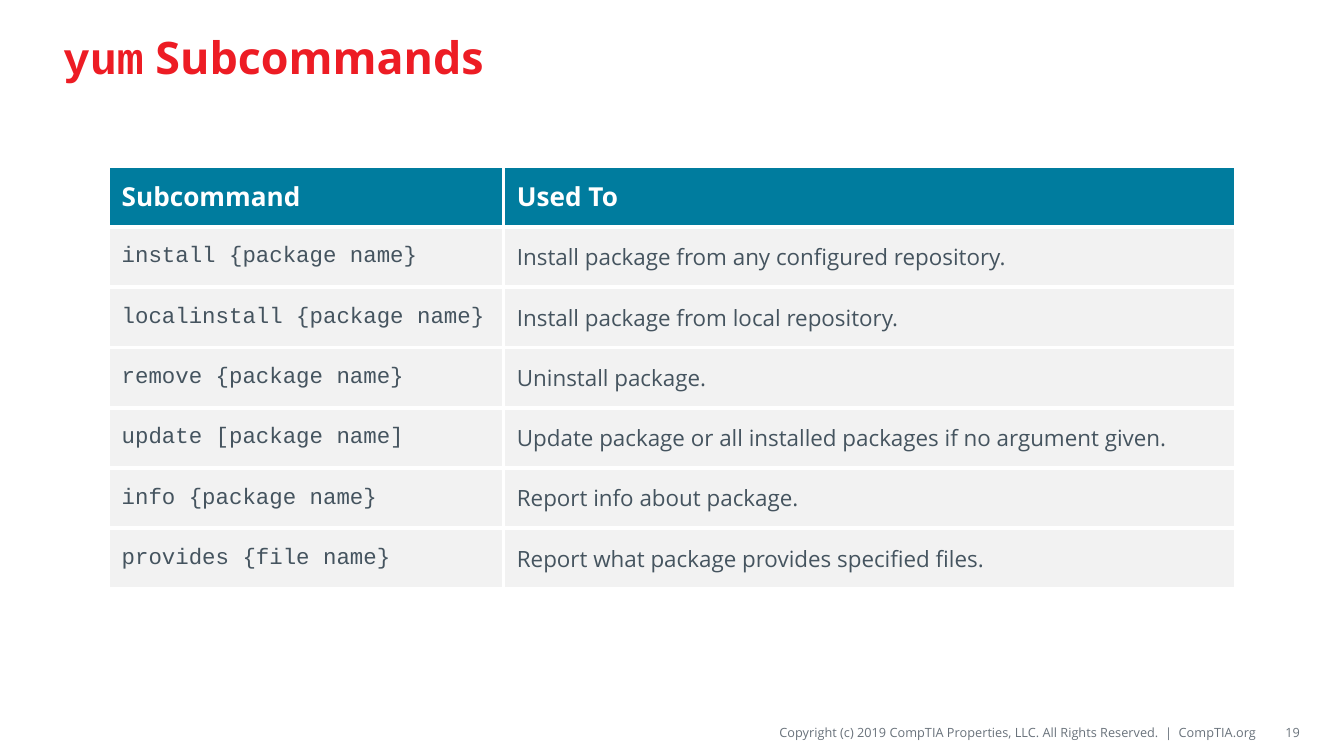
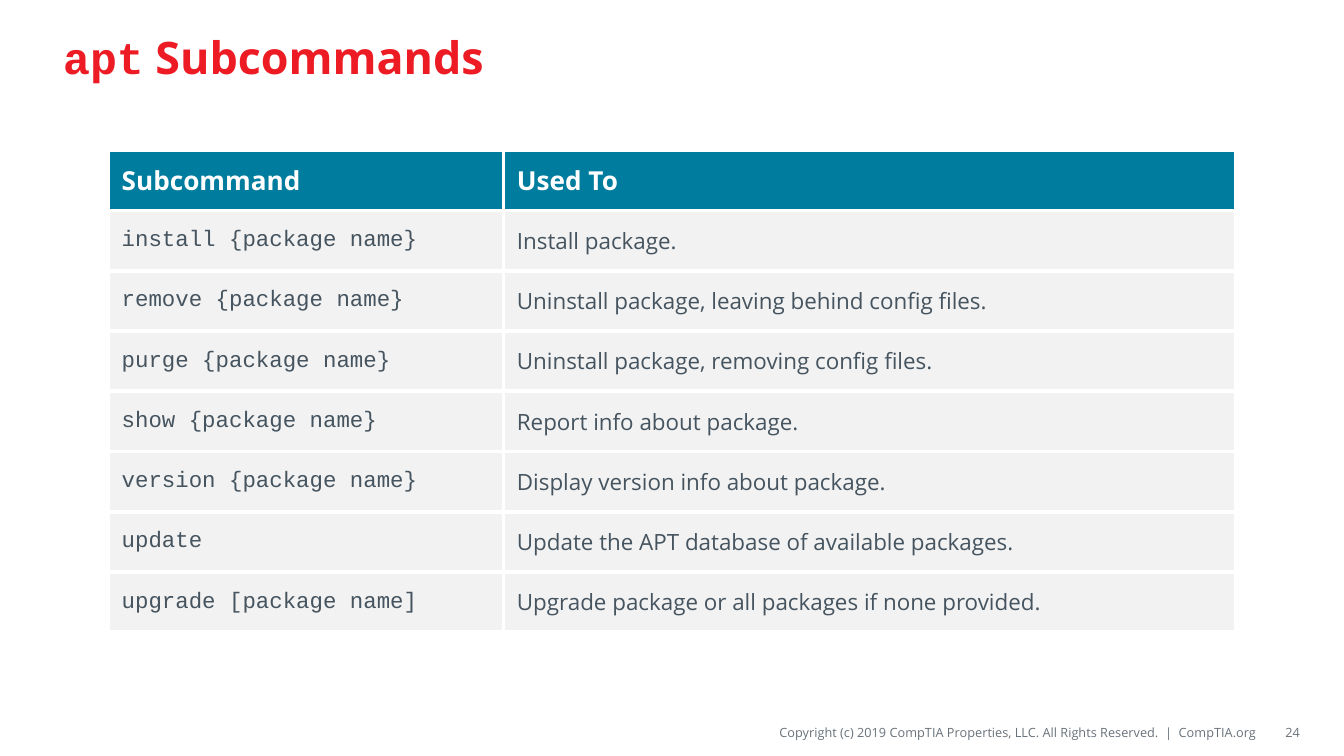
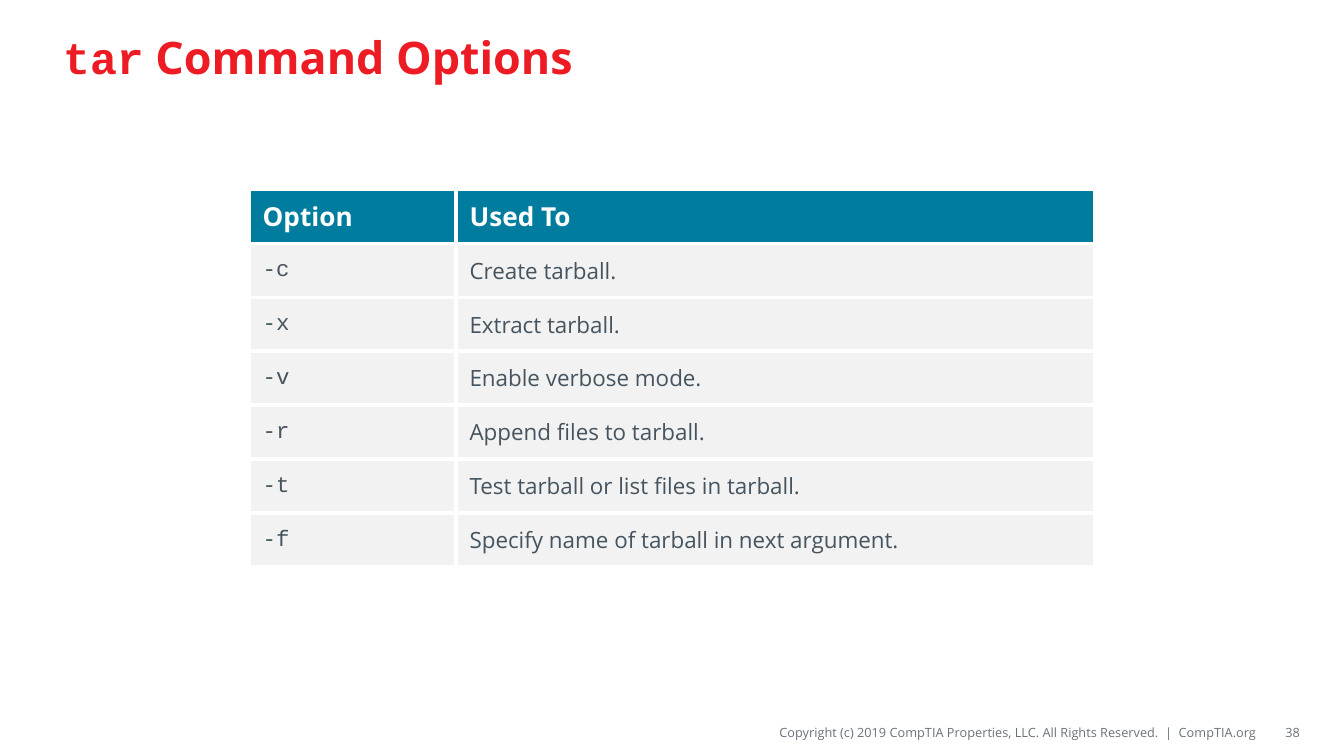
import lxml.etree
import pptx
import pptx.dml.color
import pptx.enum.text
import pptx.util
from pptx.oxml.ns import qn

Cm = pptx.util.Cm
ALIGN = pptx.enum.text.PP_ALIGN
MIDDLE = pptx.enum.text.MSO_ANCHOR.MIDDLE

COLORS = {
    "title": "ED1C24",
    "header": "007C9E",
    "row": "F2F2F2",
    "white": "FFFFFF",
    "body": "45545F",
    "footer": "69727B",
}
SANS = "Open Sans"
MONO = "Courier New"
PAGE_WIDTH, PAGE_HEIGHT = 25.4, 14.29
COPYRIGHT = ("Copyright (c) 2019 CompTIA Properties, LLC. "
             "All Rights Reserved.  |  CompTIA.org")

# All table measures are in centimetres
SUBCOMMAND_COLUMNS = (7.47, 13.84)
PAGES = [
    {
        "number": 19, "command": "yum", "topic": "Subcommands",
        "top": 3.15, "columns": SUBCOMMAND_COLUMNS, "row_height": 1.14,
        "rows": [
            ("Subcommand", "Used To"),
            ("install {package name}", "Install package from any configured repository."),
            ("localinstall {package name}", "Install package from local repository."),
            ("remove {package name}", "Uninstall package."),
            ("update [package name]",
             "Update package or all installed packages if no argument given."),
            ("info {package name}", "Report info about package."),
            ("provides {file name}", "Report what package provides specified files."),
        ],
    },
    {
        "number": 24, "command": "apt", "topic": "Subcommands",
        "top": 2.84, "columns": SUBCOMMAND_COLUMNS, "row_height": 1.14,
        "rows": [
            ("Subcommand", "Used To"),
            ("install {package name}", "Install package."),
            ("remove {package name}", "Uninstall package, leaving behind config files."),
            ("purge {package name}", "Uninstall package, removing config files."),
            ("show {package name}", "Report info about package."),
            ("version {package name}", "Display version info about package."),
            ("update", "Update the APT database of available packages."),
            ("upgrade [package name]", "Upgrade package or all packages if none provided."),
        ],
    },
    {
        "number": 38, "command": "tar", "topic": "Command Options",
        "top": 3.58, "columns": (3.91, 12.07), "row_height": 1.02,
        "rows": [
            ("Option", "Used To"),
            ("-c", "Create tarball."),
            ("-x", "Extract tarball."),
            ("-v", "Enable verbose mode."),
            ("-r", "Append files to tarball."),
            ("-t", "Test tarball or list files in tarball."),
            ("-f", "Specify name of tarball in next argument."),
        ],
    },
]


def rgb(name):
    return pptx.dml.color.RGBColor.from_string(COLORS[name])


def write_text(para, text, size=12, font=SANS, color="body", bold=False, align=ALIGN.LEFT):
    """Append one formatted span to a paragraph."""
    para.alignment = align
    span = para.add_run()
    span.text = text
    span.font.size = pptx.util.Pt(size)
    span.font.name = font
    span.font.bold = bold
    span.font.color.rgb = rgb(color)


def add_title(page, command, topic, left=0.94, top=0.2, width=23.5, height=1.75):
    title = page.shapes.title
    title.left, title.top, title.width, title.height = map(Cm, (left, top, width, height))
    frame = title.text_frame
    frame.vertical_anchor = MIDDLE
    frame.auto_size = pptx.enum.text.MSO_AUTO_SIZE.NONE
    look = {"size": 24, "color": "title", "bold": True}
    write_text(frame.paragraphs[0], command, font=MONO, **look)
    write_text(frame.paragraphs[0], " " + topic, **look)


def add_footer(page, number, top=13.56, height=0.56):
    # Copyright line and page number: text, left, width, left inset
    parts = [(COPYRIGHT, 9.86, 13.89, 0), (str(number), 23.83, 0.74, 0.25)]
    for text, left, width, inset in parts:
        box = page.shapes.add_textbox(Cm(left), Cm(top), Cm(width), Cm(height))
        frame = box.text_frame
        frame.word_wrap = True
        frame.vertical_anchor = MIDDLE
        frame.margin_left, frame.margin_right = Cm(inset), 0
        frame.margin_top = frame.margin_bottom = Cm(0.1)
        write_text(frame.paragraphs[0], text, size=6.8, color="footer", align=ALIGN.RIGHT)


def set_borders(cell, width=2.25):
    properties = cell._tc.get_or_add_tcPr()
    for side in ("lnL", "lnR", "lnT", "lnB"):
        line = lxml.etree.SubElement(properties, qn("a:" + side),
                                     w=str(pptx.util.Pt(width)))
        fill = lxml.etree.SubElement(line, qn("a:solidFill"))
        lxml.etree.SubElement(fill, qn("a:srgbClr"), val=COLORS["white"])


def add_command_table(page, rows, columns, row_height, top):
    """Draw a two-column reference table, centred across the page."""
    width = sum(columns)
    frame = page.shapes.add_table(
        len(rows), len(columns), Cm((PAGE_WIDTH - width) / 2), Cm(top),
        Cm(width), Cm(row_height * len(rows)))
    table = frame.table
    table.horz_banding = False
    for column, column_width in zip(table.columns, columns):
        column.width = Cm(column_width)
    for row_index, texts in enumerate(rows):
        table.rows[row_index].height = Cm(row_height)
        is_header = row_index == 0
        for column_index, text in enumerate(texts):
            cell = table.cell(row_index, column_index)
            cell.vertical_anchor = MIDDLE
            set_borders(cell)
            cell.fill.solid()
            cell.fill.fore_color.rgb = rgb("header" if is_header else "row")
            para = cell.text_frame.paragraphs[0]
            if is_header:
                write_text(para, text, size=14, color="white", bold=True)
            else:
                write_text(para, text, font=MONO if column_index == 0 else SANS)


def add_page(deck, content):
    page = deck.slides.add_slide(deck.slide_layouts.get_by_name("Title Only"))
    add_title(page, content["command"], content["topic"])
    add_footer(page, content["number"])
    add_command_table(page, content["rows"], content["columns"],
                      content["row_height"], content["top"])


def main():
    deck = pptx.Presentation()
    deck.slide_width, deck.slide_height = Cm(PAGE_WIDTH), Cm(PAGE_HEIGHT)
    for content in PAGES:
        add_page(deck, content)
    deck.save("out.pptx")


if __name__ == "__main__":
    main()
